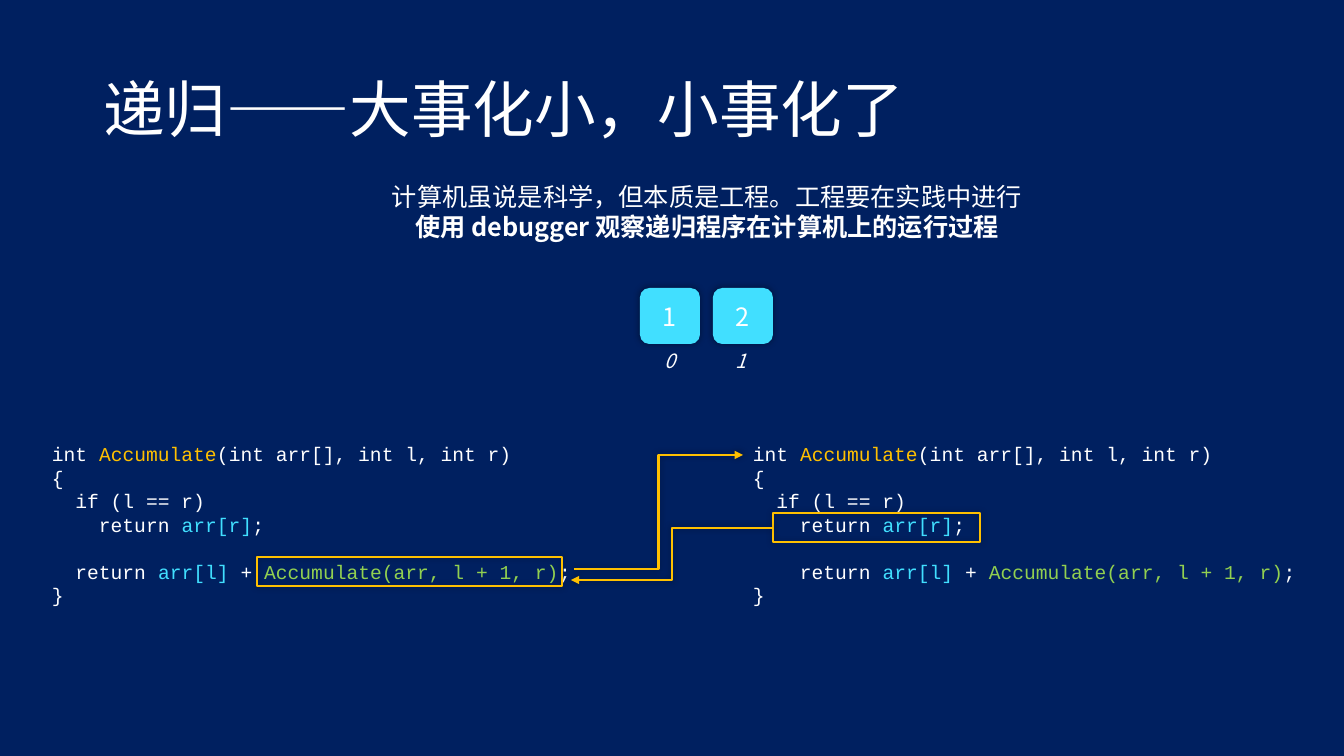
from lxml import etree
from pptx import Presentation
from pptx.dml.color import RGBColor as RGB
from pptx.enum.shapes import MSO_CONNECTOR as LINK, MSO_SHAPE as SHAPE
from pptx.enum.text import MSO_ANCHOR as ANCHOR, MSO_AUTO_SIZE as FIT, PP_ALIGN as ALIGN
from pptx.oxml.ns import qn
from pptx.util import Pt

PX = 914400 / 100.8
HUES = {
    "navy": "002060",
    "white": "FFFFFF",
    "cyan": "41DFFF",
    "gold": "FFC000",
    "green": "92D050",
    "black": "000000",
}
INK = {name: RGB.from_string(code) for name, code in HUES.items()}
SANS, MONO = "Noto Sans CJK SC", "Courier New"


def write(shape, lines, size=18, face=SANS, align=ALIGN.LEFT, anchor=ANCHOR.TOP,
          wrap=True, bold=(), slant=None, lead=None):
    """Fill a shape; each line is a list of (text, hue), bold holds line numbers."""
    frame = shape.text_frame
    frame.auto_size = FIT.NONE
    frame.word_wrap = wrap
    frame.vertical_anchor = anchor
    for row, line in enumerate(lines):
        para = frame.paragraphs[0] if row == 0 else frame.add_paragraph()
        para.alignment = align
        para.line_spacing = lead
        for text, hue in line:
            run = para.add_run()
            run.text = text
            font = run.font
            font.size = Pt(size)
            font.bold = row in bold
            font.italic = slant
            font.color.rgb = INK[hue]
            font.name = face
            etree.SubElement(font._element, qn("a:ea"), typeface=face)


def shade(shape):
    """Add a soft black shadow, after fill and line are set."""
    effect = etree.SubElement(shape._element.spPr, qn("a:effectLst"))
    outer = etree.SubElement(effect, qn("a:outerShdw"), blurRad=str(Pt(5)), dist="0", dir="0")
    black = etree.SubElement(outer, qn("a:srgbClr"), val=HUES["black"])
    etree.SubElement(black, qn("a:alpha"), val="40000")


deck = Presentation()
deck.slide_width, deck.slide_height = round(1344 * PX), round(756 * PX)
slide = deck.slides.add_slide(deck.slide_layouts[5])
slide.background.fill.solid()
slide.background.fill.fore_color.rgb = INK["navy"]
shapes = slide.shapes

# Title and lead
title = shapes.title
title.left, title.top, title.width, title.height = [round(n * PX) for n in (93, 40, 1159, 146)]
write(title, [[("递归——大事化小，小事化了", "white")]], size=44, anchor=ANCHOR.MIDDLE, lead=0.9)

intro = shapes.add_textbox(*[round(n * PX) for n in (93, 176, 1228, 72)])
write(intro, [
    [("计算机虽说是科学，但本质是工程。工程要在实践中进行", "white")],
    [("使用 debugger 观察递归程序在计算机上的运行过程", "white")],
], align=ALIGN.CENTER, bold=(1,))

# Array cells with their indexes
for index, value in enumerate("12"):
    left = 640 + 73 * index
    cell = shapes.add_shape(SHAPE.ROUNDED_RECTANGLE, *[round(n * PX) for n in (left, 288, 60, 56)])
    cell.fill.solid()
    cell.fill.fore_color.rgb = INK["cyan"]
    cell.line.fill.background()
    shade(cell)
    write(cell, [[(value, "white")]], align=ALIGN.CENTER, anchor=ANCHOR.MIDDLE)
    label = shapes.add_textbox(*[round(n * PX) for n in (655 + 71 * index, 344, 33, 34)])
    write(label, [[(str(index), "white")]], size=14, wrap=False, slant=True)

# Two calls of the same function
for left, indent in ((42, "  "), (743, "    ")):
    code = shapes.add_textbox(*[round(n * PX) for n in (left, 437, 567, 176)])
    write(code, [
        [("int ", "white"), ("Accumulate", "gold"), ("(int arr[], int l, int r)", "white")],
        [("{", "white")],
        [("  if (l == r)", "white")],
        [("    return ", "white"), ("arr[r]", "cyan"), (";", "white")],
        [("", "white")],
        [(indent + "return ", "white"), ("arr[l]", "cyan"), (" + ", "white"),
         ("Accumulate(arr, l + 1, r)", "green"), (";", "white")],
        [("}", "white")],
    ], size=14, face=MONO)

# Framed expressions, with the call and the return arrow
for frame, ends in (
    ((257, 557, 305, 29), (574, 569, 743, 455)),
    ((773, 513, 207, 29), (773, 528, 571, 580)),
):
    box = shapes.add_shape(SHAPE.RECTANGLE, *[round(n * PX) for n in frame])
    box.fill.background()
    arrow = shapes.add_connector(LINK.ELBOW, *[round(n * PX) for n in ends])
    for item, width in ((box, 1), (arrow, 1.5)):
        item.line.color.rgb = INK["gold"]
        item.line.width = Pt(width)
        shade(item)
    etree.SubElement(arrow.line._get_or_add_ln(), qn("a:tailEnd"), type="triangle")

deck.save("out.pptx")
